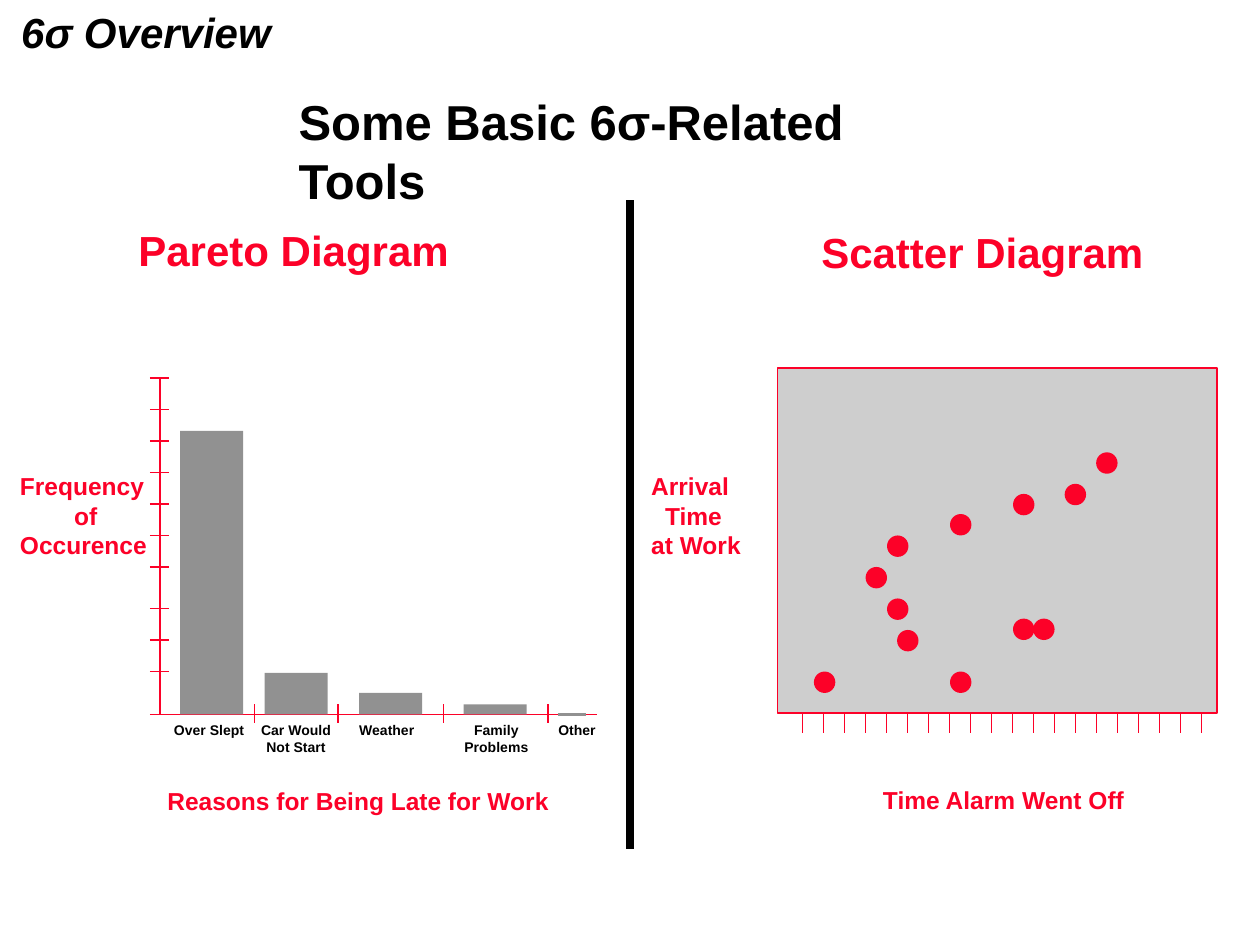
from lxml import etree
from pptx import Presentation
from pptx.dml.color import RGBColor
from pptx.enum.shapes import MSO_CONNECTOR, MSO_SHAPE
from pptx.enum.text import MSO_ANCHOR, PP_ALIGN
from pptx.oxml.ns import qn
from pptx.util import Inches, Pt

LINE = MSO_CONNECTOR.STRAIGHT
RECT, DOT = MSO_SHAPE.RECTANGLE, MSO_SHAPE.OVAL
LEFT, MID = PP_ALIGN.LEFT, PP_ALIGN.CENTER
TOP = MSO_ANCHOR.TOP
HUES = {"red": "FC0128", "black": "000000", "bar": "919191", "plot": "CECECE"}


def hue(name):
    """Return the named colour."""
    return RGBColor.from_string(HUES[name])


def place(box, x, y, w, h):
    """Turn inches within a box into slide lengths."""
    return Inches(box[0] + x), Inches(box[1] + y), Inches(w), Inches(h)


def style(frame, size, color, align=LEFT, slant=False):
    """Format every paragraph of a text frame."""
    frame.vertical_anchor = TOP
    for para in frame.paragraphs:
        para.alignment = align
        for run in para.runs:
            font = run.font
            font.name, font.size = "Arial", Pt(size)
            font.bold, font.italic = True, slant
            font.color.rgb = hue(color)


def label(slide, spot, text, size, color="red", align=LEFT, slant=False):
    """Add a bold text box and return its frame."""
    frame = slide.shapes.add_textbox(*spot).text_frame
    frame.word_wrap = True
    frame.text = text
    style(frame, size, color, align, slant)
    return frame


def indent(para, width):
    """Indent one paragraph from the left."""
    para._p.get_or_add_pPr().set("marL", str(Inches(width)))


def stroke(slide, box, x1, y1, x2, y2, color="red", width=1):
    """Draw a plain line between two points of a box."""
    x, y, dx, dy = place(box, x1, y1, x2 - x1, y2 - y1)
    line = slide.shapes.add_connector(LINE, x, y, x + dx, y + dy)
    line.line.color.rgb = hue(color)
    line.line.width = Pt(width)
    etree.SubElement(line._element.spPr, qn("a:effectLst"))


def block(slide, kind, spot, fill, edge=None):
    """Add a filled shape with an optional edge."""
    shape = slide.shapes.add_shape(kind, *spot)
    shape.shadow.inherit = False
    shape.fill.solid()
    shape.fill.fore_color.rgb = hue(fill)
    if edge:
        shape.line.color.rgb = hue(edge)
        shape.line.width = Pt(1)
    else:
        shape.line.fill.background()


def header(slide, box):
    """Place the running head and the slide title."""
    label(slide, place(box, 0.07, 0, 9.2, 0.5), "6σ Overview", 24, "black", slant=True)
    title = slide.shapes.title
    title.left, title.top, title.width, title.height = place(box, 2.27, 0.68, 5.4, 1)
    title.text_frame.text = "Some Basic 6σ-Related Tools"
    title.text_frame.word_wrap = True
    style(title.text_frame, 28, "black")


def pareto(slide, box):
    """Draw the Pareto diagram with its axes, bars and labels."""
    base = 4.17
    label(slide, place(box, 1, 0.23, 2.75, 0.5), "Pareto Diagram", 24)
    stroke(slide, box, 1.27, 1.5, 1.27, base)
    stroke(slide, box, 1.19, base, 4.74, base)
    for first, count in ((1.5, 7), (3.33, 3)):
        for step in range(count):
            y = first + step * 0.25
            stroke(slide, box, 1.19, y, 1.34, y)
    for x in (2.02, 2.68, 3.52, 4.35):
        stroke(slide, box, x, base - 0.08, x, base + 0.07)
    for x, high in ((1.43, 2.25), (2.1, 0.33), (2.85, 0.17), (3.68, 0.08)):
        block(slide, RECT, place(box, x, base - high, 0.5, high), "bar")
    stroke(slide, box, 4.43, base, 4.65, base, "bar", 2)
    names = (
        (1.66, "Over Slept"), (2.35, "Car Would\nNot Start"), (3.07, "Weather"),
        (3.94, "Family\nProblems"), (4.58, "Other"),
    )
    for x, name in names:
        label(slide, place(box, x - 0.45, 4.18, 0.9, 0.36), name, 8, "black", MID)
    side = label(slide, place(box, 0.06, 2.19, 1.25, 0.8), "Frequency\nof\nOccurence", 14)
    indent(side.paragraphs[1], 0.43)
    label(slide, place(box, 1.23, 4.69, 3.4, 0.33), "Reasons for Being Late for Work", 14)


def scatter(slide, box):
    """Draw the scatter diagram with its plot, dots, ticks and labels."""
    label(slide, place(box, 1.42, 0.25, 2.83, 0.5), "Scatter Diagram", 24)
    block(slide, RECT, place(box, 1.17, 1.42, 3.49, 2.74), "plot", "red")
    dots = (
        (1.46, 3.83), (1.87, 3), (2.04, 2.75), (2.04, 3.25), (2.12, 3.5), (2.54, 2.58),
        (3.04, 2.42), (3.45, 2.34), (3.7, 2.09), (2.54, 3.83), (3.04, 3.41), (3.2, 3.41),
    )
    for x, y in dots:
        block(slide, DOT, place(box, x, y, 0.17, 0.17), "red")
    for step in range(20):
        x = 1.37 + step / 6
        stroke(slide, box, x, 4.17, x, 4.32)
    side = label(slide, place(box, 0.07, 2.19, 1, 0.8), "Arrival\nTime\nat Work", 14)
    indent(side.paragraphs[1], 0.11)
    label(slide, place(box, 1.91, 4.68, 2.3, 0.33), "Time Alarm Went Off", 14)


def main():
    """Build and save the slide."""
    deck = Presentation()
    deck.slide_width, deck.slide_height = Inches(10), Inches(7.5)
    slide = deck.slides.add_slide(deck.slide_layouts[5])
    header(slide, (0, 0))
    pareto(slide, (0, 1.5))
    stroke(slide, (5, 1.5), 0, 0.09, 0, 5.24, "black", 4.5)
    scatter(slide, (5, 1.5))
    deck.save("out.pptx")


if __name__ == "__main__":
    main()
